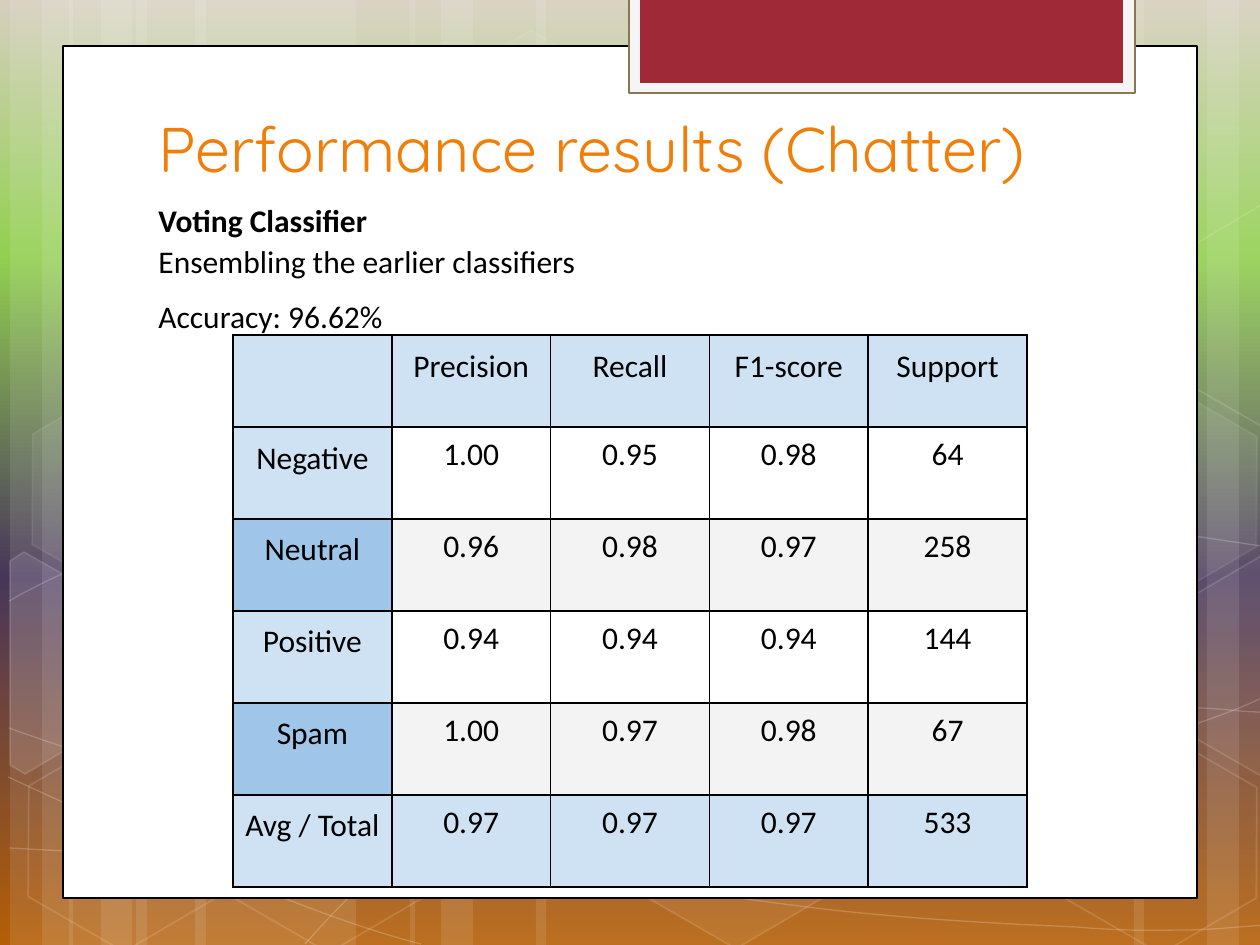
from lxml import etree
from pptx import Presentation
from pptx import util as u
from pptx.dml.color import RGBColor
from pptx.enum import shapes, text
from pptx.oxml.ns import qn

WHITE = RGBColor(0xFF, 0xFF, 0xFF)
BLACK = RGBColor(0, 0, 0)
ORANGE = RGBColor(0xF0, 0x7F, 0x09)
RED = RGBColor(0x9F, 0x29, 0x36)
PALE = RGBColor(0xF5, 0xF5, 0xF5)
BROWN = RGBColor(0x87, 0x78, 0x52)
SKY = RGBColor(0xCF, 0xE2, 0xF3)
BLUE = RGBColor(0x9F, 0xC5, 0xE8)
GREY = RGBColor(0xF3, 0xF3, 0xF3)

TITLE = "Performance results (Chatter)"
# text, bold, space after
NOTES = [("Voting Classifier", True, 0),
         ("Ensembling the earlier classifiers", False, 8),
         ("Accuracy: 96.62%", False, 8)]
SCORES = [["", "Precision", "Recall", "F1-score", "Support"],
          ["Negative", "1.00", "0.95", "0.98", "64"],
          ["Neutral", "0.96", "0.98", "0.97", "258"],
          ["Positive", "0.94", "0.94", "0.94", "144"],
          ["Spam", "1.00", "0.97", "0.98", "67"],
          ["Avg / Total", "0.97", "0.97", "0.97", "533"]]
# fill of the first column, fill of the rest, row by row
TINTS = [(SKY, SKY), (SKY, None), (BLUE, GREY),
         (SKY, None), (BLUE, GREY), (SKY, SKY)]

STOPS = [(0, "D6CFBE"), (27, "92D050"), (61, "48365A"), (100, "B45F06")]
# left, width
STRIPS = [(136, 220), (10, 63), (42, 105), (195, 220), (69, 63), (101, 105),
          (924, 220), (1207, 63), (1134, 105), (536, 388), (410, 63), (441, 105)]
# start, then two controls and an end for each Bezier piece
CURVES = [
    [(9, 848), (77, 852), (145, 855), (239, 854), (334, 853), (451, 851), (577, 838),
     (703, 825), (882, 802), (998, 777), (1113, 753), (1231, 716), (1269, 694)],
    [(9, 601), (45, 581), (82, 562), (152, 543), (224, 524), (326, 499), (437, 488),
     (549, 479), (685, 478), (824, 488), (963, 498), (1193, 537), (1269, 547)],
    [(8, 777), (160, 847), (311, 916), (421, 944)],
    [(9, 728), (48, 742), (88, 756), (161, 776), (234, 795), (344, 827), (450, 848),
     (554, 869), (687, 892), (791, 905), (896, 919), (1008, 924), (1075, 927),
     (1140, 932), (1158, 930), (1191, 930), (1223, 929), (1246, 926), (1269, 925)],
    [(305, 944), (328, 919), (350, 893), (381, 871), (411, 848), (454, 825), (489, 805),
     (524, 788), (546, 780), (592, 767), (638, 754), (722, 737), (766, 728),
     (811, 719), (818, 719), (857, 717), (896, 713), (958, 709), (1000, 708),
     (1045, 707), (1116, 708), (1116, 708), (1144, 708), (1173, 708), (1201, 708),
     (1223, 709), (1245, 712), (1256, 712), (1268, 713), (1264, 712), (1268, 713)]]
# fill opacity, line opacity, then left and top, or the corners where cut by the edge
HEXES = [
    (4, 8, [(421, 45)]),
    (6, 12, [(626, 742)]),
    (10, 12, [(10, 561), (24, 552), (121, 607), (120, 718), (25, 774), (10, 765)]),
    (0, 12, [(14, 745)]),
    (7, 8, [(18, 393)]),
    (0, 12, [(219, 746)]),
    (10, 12, [(949, 571)]),
    (0, 12, [(1051, 747)]),
    (7, 8, [(1051, 396)]),
    (4, 12, [(1167, 611), (1261, 556), (1271, 562), (1271, 772), (1263, 777), (1167, 722)]),
    (0, 12, [(1167, 261), (1261, 205), (1273, 212), (1271, 422), (1263, 427), (1167, 372)])]


def px(n):
    return u.Emu(round(n * 914400 / 126))


def fade(fill, part):
    """Paint white with the given opacity in percent; 0 is no fill."""
    if not part:
        fill.background()
        return
    fill.solid()
    fill.fore_color.rgb = WHITE
    clr = fill._xPr.find(".//" + qn("a:srgbClr"))
    etree.SubElement(clr, qn("a:alpha"), val=str(part * 1000))


def veil(shape, part, edge=0, width=1):
    shape.shadow.inherit = False
    fade(shape.fill, part)
    if edge:
        shape.line.width = u.Pt(width)
    fade(shape.line.fill, edge)


def outline(dots, close):
    dots = [(px(x), px(y)) for x, y in dots]
    pen = slide.shapes.build_freeform(*dots[0])
    pen.add_line_segments(dots[1:], close=close)
    return pen.convert_to_shape()


def curve(knots):
    """Join each three points after the start into one Bezier piece."""
    shape = outline(knots, False)
    track = shape._element.find(".//" + qn("a:path"))
    steps = track.findall(qn("a:lnTo"))
    for i in range(0, len(steps), 3):
        piece = etree.SubElement(track, qn("a:cubicBezTo"))
        for step in steps[i:i + 3]:
            piece.append(step[0])
            track.remove(step)
    return shape


def hexagon(left, top):
    shape = slide.shapes.add_shape(shapes.MSO_SHAPE.HEXAGON,
                                   px(left), px(top), px(220), px(192))
    shape.adjustments[0], shape.adjustments[1] = 0.285, 1.155
    shape.rotation = 30
    return shape


def panel(box, color, edge=None, width=1):
    shape = slide.shapes.add_shape(shapes.MSO_SHAPE.RECTANGLE, *map(px, box))
    shape.shadow.inherit = False
    shape.fill.solid()
    shape.fill.fore_color.rgb = color
    if edge is None:
        shape.line.fill.background()
    else:
        shape.line.color.rgb = edge
        shape.line.width = u.Pt(width)


def frame(box, anchor):
    tf = slide.shapes.add_textbox(*map(px, box)).text_frame
    tf.word_wrap = True
    tf.vertical_anchor = anchor
    tf.margin_left = tf.margin_right = tf.margin_top = tf.margin_bottom = u.Inches(0.1)
    return tf


def style(para, size, name, color):
    para.font.size = u.Pt(size)
    para.font.name = name
    para.font.color.rgb = color


def border(cell):
    props = cell._tc.get_or_add_tcPr()
    for i, side in enumerate(("lnL", "lnR", "lnT", "lnB")):
        line = etree.Element(qn("a:" + side), w="12700")
        fill = etree.SubElement(line, qn("a:solidFill"))
        etree.SubElement(fill, qn("a:srgbClr"), val=str(BLACK))
        props.insert(i, line)


prs = Presentation()
prs.slide_width, prs.slide_height = px(1260), px(945)
slide = prs.slides.add_slide(prs.slide_layouts[6])

# Background gradient, top to bottom
slide.background.fill.gradient()
grad = slide._element.find(".//" + qn("a:gradFill"))
stops = grad.find(qn("a:gsLst"))
for old in list(stops):
    stops.remove(old)
for pos, color in STOPS:
    stop = etree.SubElement(stops, qn("a:gs"), pos=str(pos * 1000))
    etree.SubElement(stop, qn("a:srgbClr"), val=color)
grad.find(qn("a:lin")).set("ang", "5400000")

# Light strips, curves and hexagons
for left, wide in STRIPS:
    veil(slide.shapes.add_shape(shapes.MSO_SHAPE.RECTANGLE,
                                px(left), 0, px(wide), px(945)), 10)
for knots in CURVES:
    veil(curve(knots), 0, 20, 0.75)
for part, edge, dots in HEXES:
    veil(hexagon(*dots[0]) if len(dots) == 1 else outline(dots, True), part, edge)

# White page and red tab
panel((63, 46, 1134, 852), WHITE, BLACK, 0.75)
panel((629, -2, 506, 95), PALE, BROWN, 1.25)
panel((640, -2, 483, 85), RED)

# Title and notes
head = frame((146, 40, 968, 158), text.MSO_ANCHOR.BOTTOM).paragraphs[0]
head.text = TITLE
style(head, 36, "Quicksand", ORANGE)
body = frame((146, 198, 445, 137), text.MSO_ANCHOR.MIDDLE)
for i, (words, bold, after) in enumerate(NOTES):
    para = body.add_paragraph() if i else body.paragraphs[0]
    para.text = words
    para.line_spacing = 1.08
    para.space_after = u.Pt(after)
    style(para, 18, "Calibri", BLACK)
    para.font.bold = bold

# Score table
rows, cols = len(SCORES), len(SCORES[0])
grid = slide.shapes.add_table(rows, cols, px(233), px(335), px(794), px(92 * rows)).table
grid.first_row = grid.horz_banding = False
for r, row in enumerate(SCORES):
    for c, words in enumerate(row):
        cell = grid.cell(r, c)
        cell.margin_left = cell.margin_right = px(9)
        cell.margin_top = cell.margin_bottom = px(9)
        tint = TINTS[r][c > 0]
        if tint is None:
            cell.fill.background()
        else:
            cell.fill.solid()
            cell.fill.fore_color.rgb = tint
        border(cell)
        para = cell.text_frame.paragraphs[0]
        para.text = words
        para.alignment = text.PP_ALIGN.CENTER
        style(para, 18, "Calibri", BLACK)
        if r == 0 or c == 0:
            para.line_spacing = 1.08
            para.space_after = u.Pt(8)

prs.save("out.pptx")
